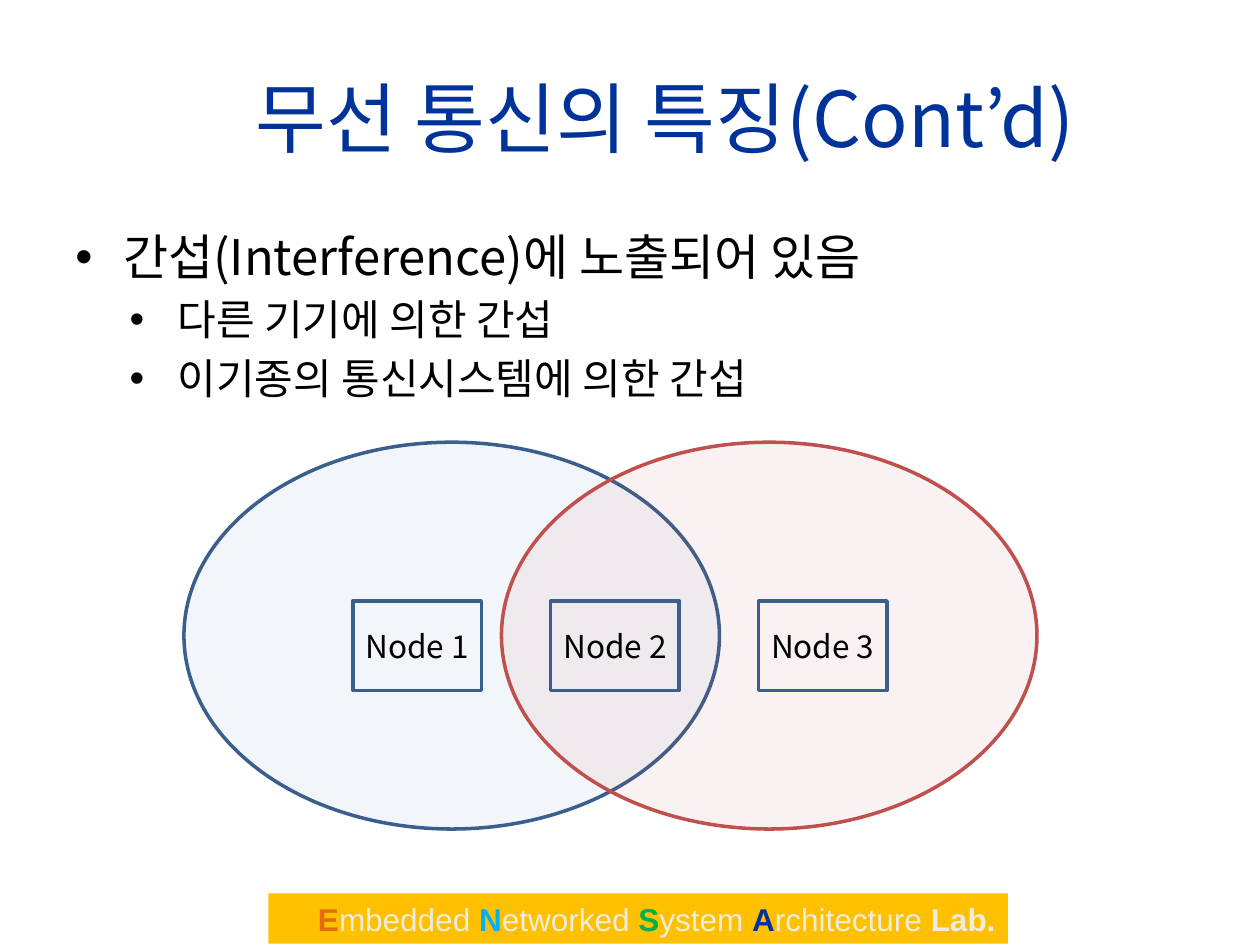
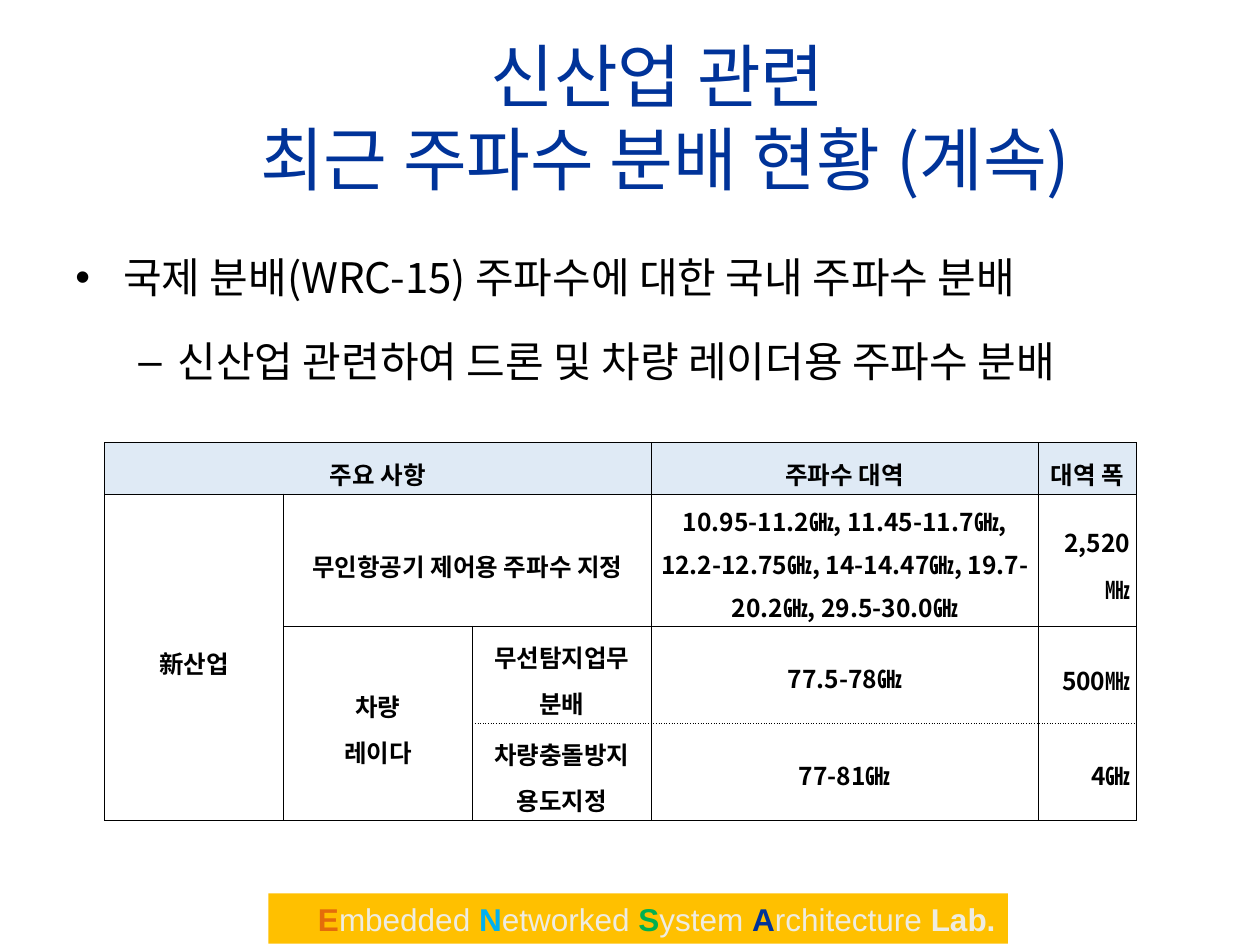
"""Build two lecture slides on wireless interference and spectrum allocation."""
from dataclasses import dataclass

from lxml import etree
from pptx import Presentation
from pptx.dml.color import RGBColor
from pptx.enum.shapes import MSO_SHAPE
from pptx.enum.text import MSO_ANCHOR, PP_ALIGN
from pptx.oxml.ns import qn
from pptx.util import Inches, Pt

OVAL, RECTANGLE = MSO_SHAPE.OVAL, MSO_SHAPE.RECTANGLE
LEFT, CENTER, RIGHT = PP_ALIGN.LEFT, PP_ALIGN.CENTER, PP_ALIGN.RIGHT
TOP, MIDDLE = MSO_ANCHOR.TOP, MSO_ANCHOR.MIDDLE

KOREAN_FONT, FOOTER_FONT = "Noto Sans CJK KR", "Arial"
BLACK, NAVY, CREAM, GOLD = "000000", "003399", "EEECE1", "FFC000"
BLUE, BLUE_LINE, RED, HEADER_FILL = "4F81BD", "3A5F8C", "C0504D", "DFEAF5"

FOOTER_RUNS = [
    ("E", "E46C0A", True), ("mbedded ", CREAM, False),
    ("N", "00B0F0", True), ("etworked ", CREAM, False),
    ("S", "00B050", True), ("ystem ", CREAM, False),
    ("A", NAVY, True), ("rchitecture ", CREAM, False),
    ("Lab.", CREAM, True),
]


@dataclass
class Bullet:
    """One bulleted line of the body."""
    text: str
    size: float
    symbol: str = "•"
    margin: float = 0.38
    hanging: float = 0.38
    spacing: float = 1.0


@dataclass
class Range:
    """The radio range of a node."""
    left: float
    fill: str
    line: str


@dataclass
class Entry:
    """A table cell with its span."""
    row: int
    column: int
    text: str
    rows: int = 1
    columns: int = 1
    align: PP_ALIGN = CENTER
    spacing: float = 1.3


INTERFERENCE = [
    Bullet("간섭(Interference)에 노출되어 있음", 28),
    Bullet("다른 기기에 의한 간섭", 24, margin=0.81),
    Bullet("이기종의 통신시스템에 의한 간섭", 24, margin=0.81),
]
RANGES = [Range(1.46, BLUE, BLUE_LINE), Range(3.98, RED, RED)]
NODES = {"Node 1": 2.8, "Node 2": 4.37, "Node 3": 6.02}

ALLOCATION = [
    Bullet("국제 분배(WRC-15) 주파수에 대한 국내 주파수 분배", 24, spacing=1.5),
    Bullet("신산업 관련하여 드론 및 차량 레이더용 주파수 분배", 24, "–", 0.81, 0.31, 1.5),
]
COLUMN_WIDTHS = [1.42, 1.5, 1.42, 3.07, 0.78]
ROW_HEIGHTS = [0.41, 1.05, 0.77, 0.77]
ENTRIES = [
    Entry(0, 0, "주요 사항", columns=3),
    Entry(0, 3, "주파수 대역"),
    Entry(0, 4, "대역 폭"),
    Entry(1, 0, "新산업", rows=3),
    Entry(1, 1, "무인항공기 제어용 주파수 지정", columns=2),
    Entry(1, 3, "10.95-11.2㎓, 11.45-11.7㎓, 12.2-12.75㎓, 14-14.47㎓, "
                "19.7-20.2㎓, 29.5-30.0㎓", spacing=1.2),
    Entry(1, 4, "2,520㎒", align=RIGHT),
    Entry(2, 1, "차량\n레이다", rows=2),
    Entry(2, 2, "무선탐지업무 분배"),
    Entry(2, 3, "77.5-78㎓", spacing=1.2),
    Entry(2, 4, "500㎒", align=RIGHT),
    Entry(3, 2, "차량충돌방지 용도지정"),
    Entry(3, 3, "77-81㎓", spacing=1.2),
    Entry(3, 4, "4㎓", align=RIGHT, spacing=1.2),
]


def color(value: str) -> RGBColor:
    """Turn a hex string into a colour."""
    return RGBColor.from_string(value)


def write(paragraph, text: str, *, size: float, font: str = KOREAN_FONT,
          fill: str = BLACK, bold: bool = False, align: PP_ALIGN = LEFT,
          spacing: float = 1.0) -> None:
    """Append formatted text to a paragraph, breaking lines at newlines."""
    paragraph.alignment = align
    paragraph.line_spacing = spacing
    for index, line in enumerate(text.split("\n")):
        if index:
            paragraph.add_line_break()
        run = paragraph.add_run()
        run.text = line
        run.font.name, run.font.size, run.font.bold = font, Pt(size), bold
        run.font.color.rgb = color(fill)
        properties = run.font._element
        etree.SubElement(properties, qn("a:ea"), typeface=font)


def add_text_frame(slide, left: float, top: float, width: float, height: float,
                   anchor: MSO_ANCHOR):
    """Add a wrapping text box and return its text frame."""
    box = slide.shapes.add_textbox(Inches(left), Inches(top), Inches(width), Inches(height))
    box.text_frame.word_wrap = True
    box.text_frame.vertical_anchor = anchor
    return box.text_frame


def add_shape(slide, kind: MSO_SHAPE, left: float, top: float, width: float,
              height: float, *, fill: str = "", opacity: int = 100, line: str = ""):
    """Add a flat preset shape; an empty colour means none."""
    shape = slide.shapes.add_shape(
        kind, Inches(left), Inches(top), Inches(width), Inches(height))
    shape.shadow.inherit = False
    if fill:
        shape.fill.solid()
        shape.fill.fore_color.rgb = color(fill)
        if opacity < 100:
            fill_color = shape._element.spPr.find(qn("a:solidFill"))[0]
            etree.SubElement(fill_color, qn("a:alpha"), val=str(opacity * 1000))
    else:
        shape.fill.background()
    if line:
        shape.line.color.rgb = color(line)
        shape.line.width = Pt(2)
    else:
        shape.line.fill.background()
    return shape


def add_footer(slide) -> None:
    """Draw the footer band with its coloured initials."""
    band = add_shape(slide, RECTANGLE, 2.13, 7.09, 5.87, 0.4, fill=GOLD)
    band.text_frame.vertical_anchor = TOP
    for text, fill, bold in FOOTER_RUNS:
        write(band.text_frame.paragraphs[0], text, size=18, font=FOOTER_FONT,
              fill=fill, bold=bold, align=RIGHT)


def add_bullets(slide, bullets: list[Bullet]) -> None:
    """Fill the body with bulleted lines."""
    frame = add_text_frame(slide, 0.5, 1.75, 9, 4.95, TOP)
    for index, bullet in enumerate(bullets):
        paragraph = frame.add_paragraph() if index else frame.paragraphs[0]
        write(paragraph, bullet.text, size=bullet.size, spacing=bullet.spacing)
        if index:
            paragraph.space_before = Pt(0.2 * bullet.size)
        properties = paragraph._p.get_or_add_pPr()
        properties.set("marL", str(Inches(bullet.margin)))
        properties.set("indent", str(-Inches(bullet.hanging)))
        etree.SubElement(properties, qn("a:buFont"), typeface=FOOTER_FONT)
        etree.SubElement(properties, qn("a:buChar"), char=bullet.symbol)


def add_content_slide(presentation, title: str, bullets: list[Bullet], *,
                      size: float = 44):
    """Add a slide with footer, title and bullets."""
    slide = presentation.slides.add_slide(presentation.slide_layouts[6])
    add_footer(slide)
    frame = add_text_frame(slide, 1.06, 0.3, 8.44, 1.25, MIDDLE)
    write(frame.paragraphs[0], title, size=size, fill=NAVY, align=CENTER)
    add_bullets(slide, bullets)
    return slide


def add_ranges(slide) -> None:
    """Draw the overlapping radio ranges and their nodes."""
    for reach in RANGES:
        add_shape(slide, OVAL, reach.left, 3.51, 4.25, 3.07,
                  fill=reach.fill, opacity=7, line=reach.line)
    for name, left in NODES.items():
        node = add_shape(slide, RECTANGLE, left, 4.77, 1.02, 0.71, line=BLUE_LINE)
        node.text_frame.vertical_anchor = MIDDLE
        write(node.text_frame.paragraphs[0], name, size=18, align=CENTER)


def add_borders(cell, dotted_side: str) -> None:
    """Give a cell thin black borders, one of them dotted if named."""
    properties = cell._tc.get_or_add_tcPr()
    for side in ("lnL", "lnR", "lnT", "lnB"):
        line = etree.SubElement(properties, qn(f"a:{side}"), w=str(Pt(0.28)))
        fill = etree.SubElement(line, qn("a:solidFill"))
        etree.SubElement(fill, qn("a:srgbClr"), val=BLACK)
        dash = "sysDot" if side == dotted_side else "solid"
        etree.SubElement(line, qn("a:prstDash"), val=dash)


def add_allocation_table(slide) -> None:
    """Draw the table of allocated frequency bands."""
    table = slide.shapes.add_table(
        len(ROW_HEIGHTS), len(COLUMN_WIDTHS), Inches(0.83), Inches(3.51),
        Inches(sum(COLUMN_WIDTHS)), Inches(sum(ROW_HEIGHTS))).table
    table.first_row = table.horz_banding = False
    for column, width in zip(table.columns, COLUMN_WIDTHS):
        column.width = Inches(width)
    for row_index, (row, height) in enumerate(zip(table.rows, ROW_HEIGHTS)):
        row.height = Inches(height)
        for column_index, cell in enumerate(row.cells):
            dotted_side = {2: "lnB", 3: "lnT"}.get(row_index, "")
            add_borders(cell, dotted_side if column_index >= 2 else "")
            cell.margin_left = cell.margin_right = Inches(0.05)
            cell.margin_top = cell.margin_bottom = Inches(0.01)
            cell.vertical_anchor = MIDDLE
            if row_index == 0:
                cell.fill.solid()
                cell.fill.fore_color.rgb = color(HEADER_FILL)
            else:
                cell.fill.background()
    for entry in ENTRIES:
        cell = table.cell(entry.row, entry.column)
        if entry.rows > 1 or entry.columns > 1:
            cell.merge(table.cell(entry.row + entry.rows - 1,
                                  entry.column + entry.columns - 1))
        for index, text in enumerate(entry.text.split("\n")):
            frame = cell.text_frame
            paragraph = frame.add_paragraph() if index else frame.paragraphs[0]
            write(paragraph, text, size=14, bold=True, align=entry.align,
                  spacing=entry.spacing)


def main() -> None:
    """Build and save the presentation."""
    presentation = Presentation()
    presentation.slide_width, presentation.slide_height = Inches(10), Inches(7.5)
    add_ranges(add_content_slide(presentation, "무선 통신의 특징(Cont’d)", INTERFERENCE))
    add_allocation_table(add_content_slide(
        presentation, "신산업 관련 \n최근 주파수 분배 현황 (계속)", ALLOCATION, size=39.6))
    presentation.save("out.pptx")


if __name__ == "__main__":
    main()
